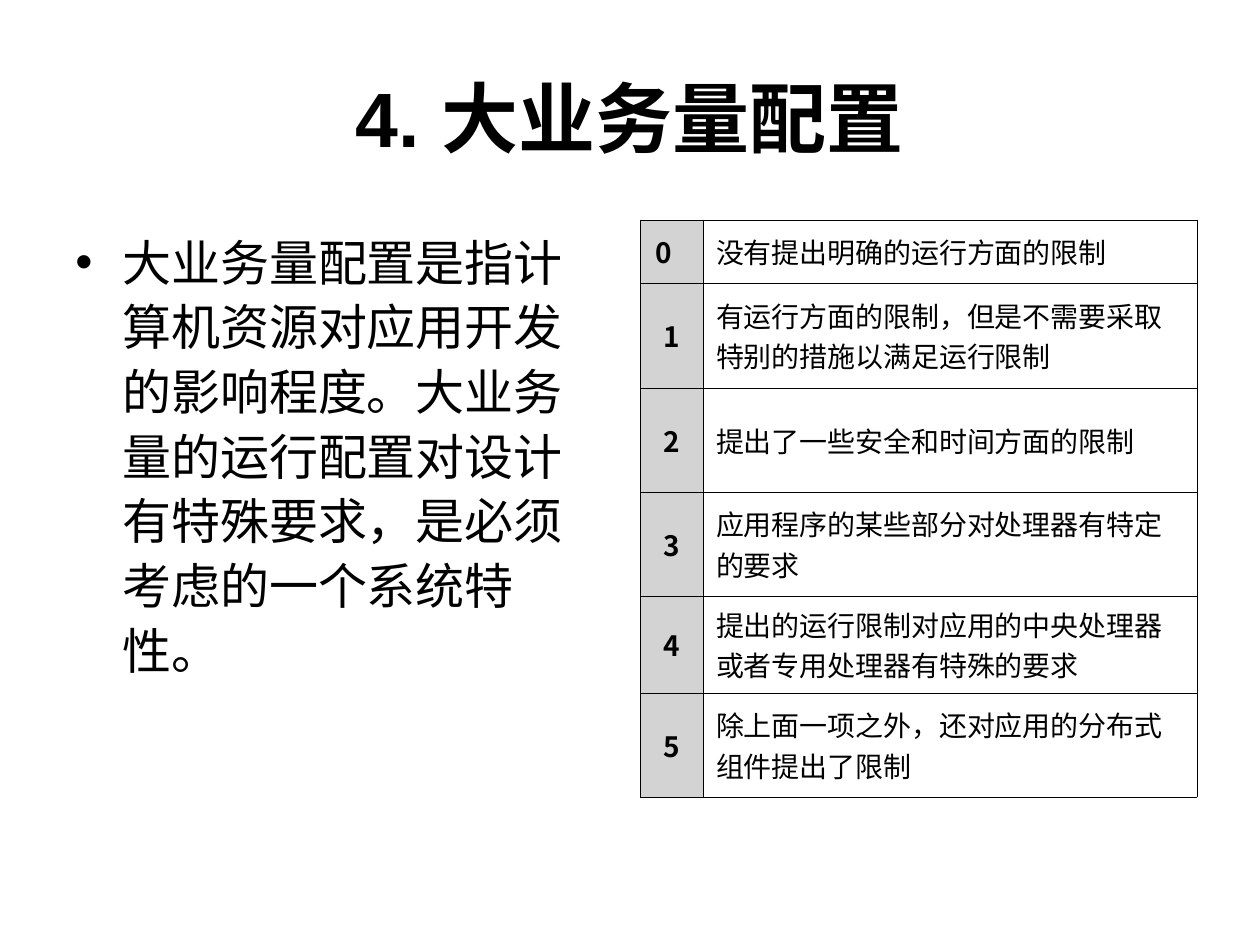
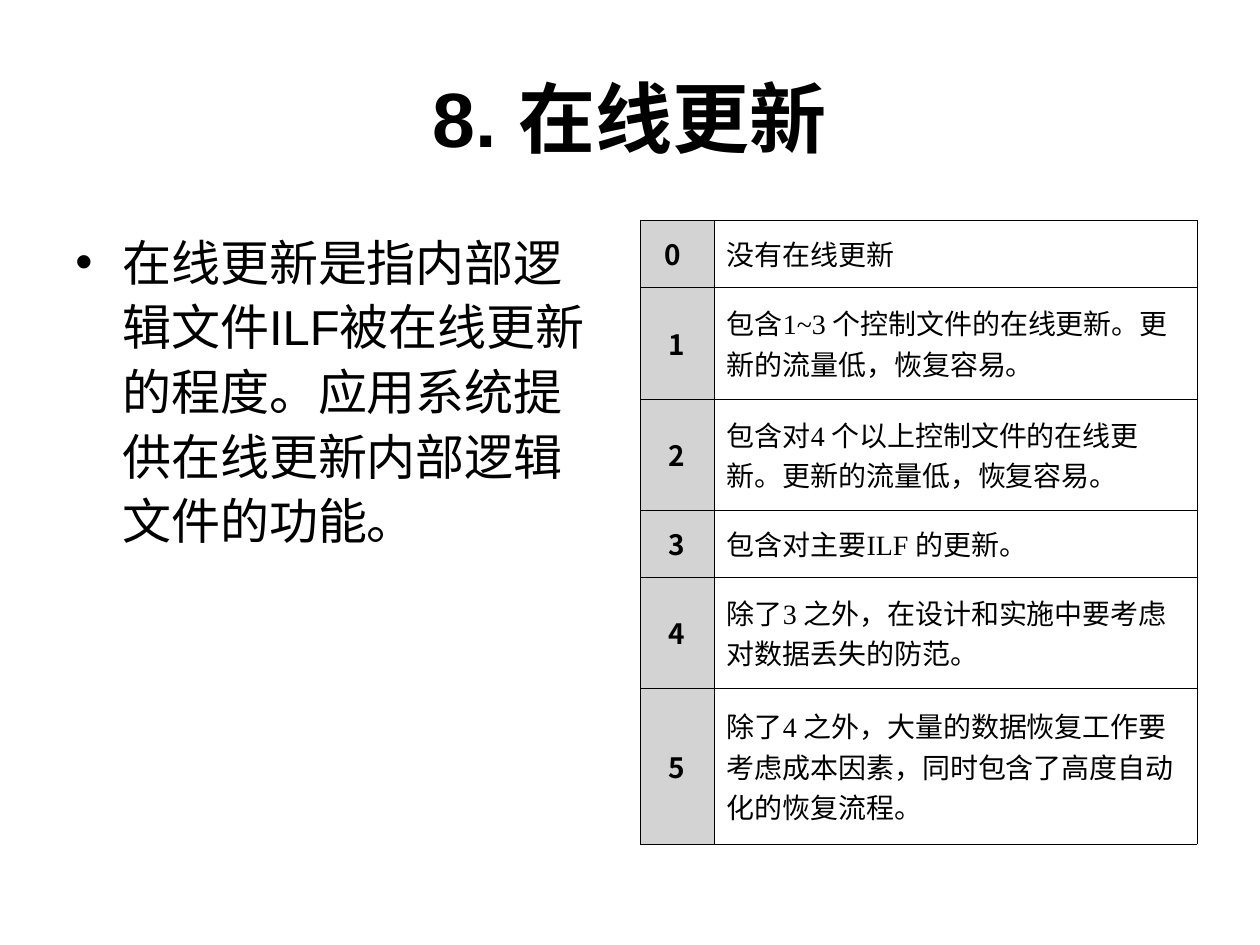
from pptx import Presentation
from pptx.dml.color import RGBColor
from pptx.enum.text import MSO_ANCHOR, PP_ALIGN
from pptx.oxml import parse_xml
from pptx.oxml.ns import nsdecls
from pptx.util import Emu, Pt

LEFT, CENTER = PP_ALIGN.LEFT, PP_ALIGN.CENTER
TOP, MIDDLE = MSO_ANCHOR.TOP, MSO_ANCHOR.MIDDLE
BLACK, WHITE, GRAY = "000000", "FFFFFF", "D3D3D3"
SANS, SERIF, HAN = "Arial", "Times New Roman", "Noto Sans CJK SC"
EDGE = 4318


def px(num):
    return Emu(round(num * 914400 / 126))


def color(code):
    return RGBColor.from_string(code)


def node(tag, attrs="", body=""):
    return parse_xml(f"<a:{tag} {nsdecls('a')} {attrs}>{body}</a:{tag}>")


def write(frame, text, size=16, font=SANS, bold=False, align=LEFT, line=None, bullet=False):
    para = frame.paragraphs[0]
    para.alignment = align
    if line:
        para.line_spacing = line
    props = para._p.get_or_add_pPr()
    props.set("hangingPunct", "0")
    if bullet:
        props.set("marL", str(px(47)))
        props.set("indent", str(-px(47)))
        props.append(node("buClr", body=f'<a:srgbClr val="{BLACK}"/>'))
        props.append(node("buFont", f'typeface="{SANS}"'))
        props.append(node("buChar", 'char="•"'))
    run = para.add_run()
    run.text = text
    run.font.size = Pt(size)
    run.font.bold = bold
    run.font.color.rgb = color(BLACK)
    run.font.name = font
    run._r.get_or_add_rPr().append(node("ea", f'typeface="{HAN}"'))


class Deck:
    def __init__(self):
        self.file = Presentation()
        self.file.slide_width, self.file.slide_height = px(1260), px(945)
        self.slide = None

    def page(self):
        self.slide = self.file.slides.add_slide(self.file.slide_layouts[6])
        fill = self.slide.background.fill
        fill.solid()
        fill.fore_color.rgb = color(WHITE)

    def box(self, text, left, top, width, height, anchor=TOP, **style):
        frame = self.slide.shapes.add_textbox(
            px(left), px(top), px(width), px(height)).text_frame
        frame.word_wrap = True
        frame.vertical_anchor = anchor
        write(frame, text, **style)

    def title(self, text):
        self.box(text, 63, 38, 1134, 157, anchor=MIDDLE, size=44, bold=True, align=CENTER)

    def body(self, text):
        self.box(text, 63, 220, 557, 624, size=28, line=1.1, bullet=True)

    def cell(self, cell, text, fill, **style):
        cell.vertical_anchor = MIDDLE
        cell.margin_left = cell.margin_right = px(13)
        cell.margin_top = cell.margin_bottom = px(6)
        cell.fill.solid()
        cell.fill.fore_color.rgb = color(fill)
        props = cell._tc.get_or_add_tcPr()
        paint = f'<a:solidFill><a:srgbClr val="{BLACK}"/></a:solidFill>'
        for spot, side in enumerate("LRTB"):
            props.insert(spot, node(f"ln{side}", f'w="{EDGE}"', paint))
        write(cell.text_frame, text, **style)

    def table(self, notes, first, rows, shift):
        grid = self.slide.shapes.add_table(
            len(notes), 2, px(640), px(220), px(557), px(sum(rows))).table
        grid.first_row = grid.horz_banding = False
        for col, width in zip(grid.columns, (first, 557 - first)):
            col.width = px(width)
        for rank, (note, height) in enumerate(zip(notes, rows)):
            grid.rows[rank].height = px(height)
            self.cell(grid.cell(rank, 0), str(rank), GRAY, font=HAN, bold=True, align=CENTER)
            self.cell(grid.cell(rank, 1), note, WHITE, font=SERIF)
        grid.cell(0, 0).margin_right = px(13 + shift)


PAGES = [
    dict(
        title="4. 大业务量配置",
        body="大业务量配置是指计算机资源对应用开发的影响程度。大业务量的运行配置对设计有特殊要求，是必须考虑的一个系统特性。",
        first=63, rows=(63, 105, 104, 104, 97, 104), shift=15,
        notes=(
            "没有提出明确的运行方面的限制",
            "有运行方面的限制，但是不需要采取特别的措施以满足运行限制",
            "提出了一些安全和时间方面的限制",
            "应用程序的某些部分对处理器有特定的要求",
            "提出的运行限制对应用的中央处理器或者专用处理器有特殊的要求",
            "除上面一项之外，还对应用的分布式组件提出了限制",
        ),
    ),
    dict(
        title="8. 在线更新",
        body="在线更新是指内部逻辑文件ILF被在线更新的程度。应用系统提供在线更新内部逻辑文件的功能。",
        first=74, rows=(67, 112, 111, 67, 111, 156), shift=8,
        notes=(
            "没有在线更新",
            "包含1~3 个控制文件的在线更新。更新的流量低，恢复容易。",
            "包含对4 个以上控制文件的在线更新。更新的流量低，恢复容易。",
            "包含对主要ILF 的更新。",
            "除了3 之外，在设计和实施中要考虑对数据丢失的防范。",
            "除了4 之外，大量的数据恢复工作要考虑成本因素，同时包含了高度自动化的恢复流程。",
        ),
    ),
]


def main():
    deck = Deck()
    for page in PAGES:
        deck.page()
        deck.title(page["title"])
        deck.body(page["body"])
        deck.table(page["notes"], page["first"], page["rows"], page["shift"])
    deck.file.save("out.pptx")


if __name__ == "__main__":
    main()
